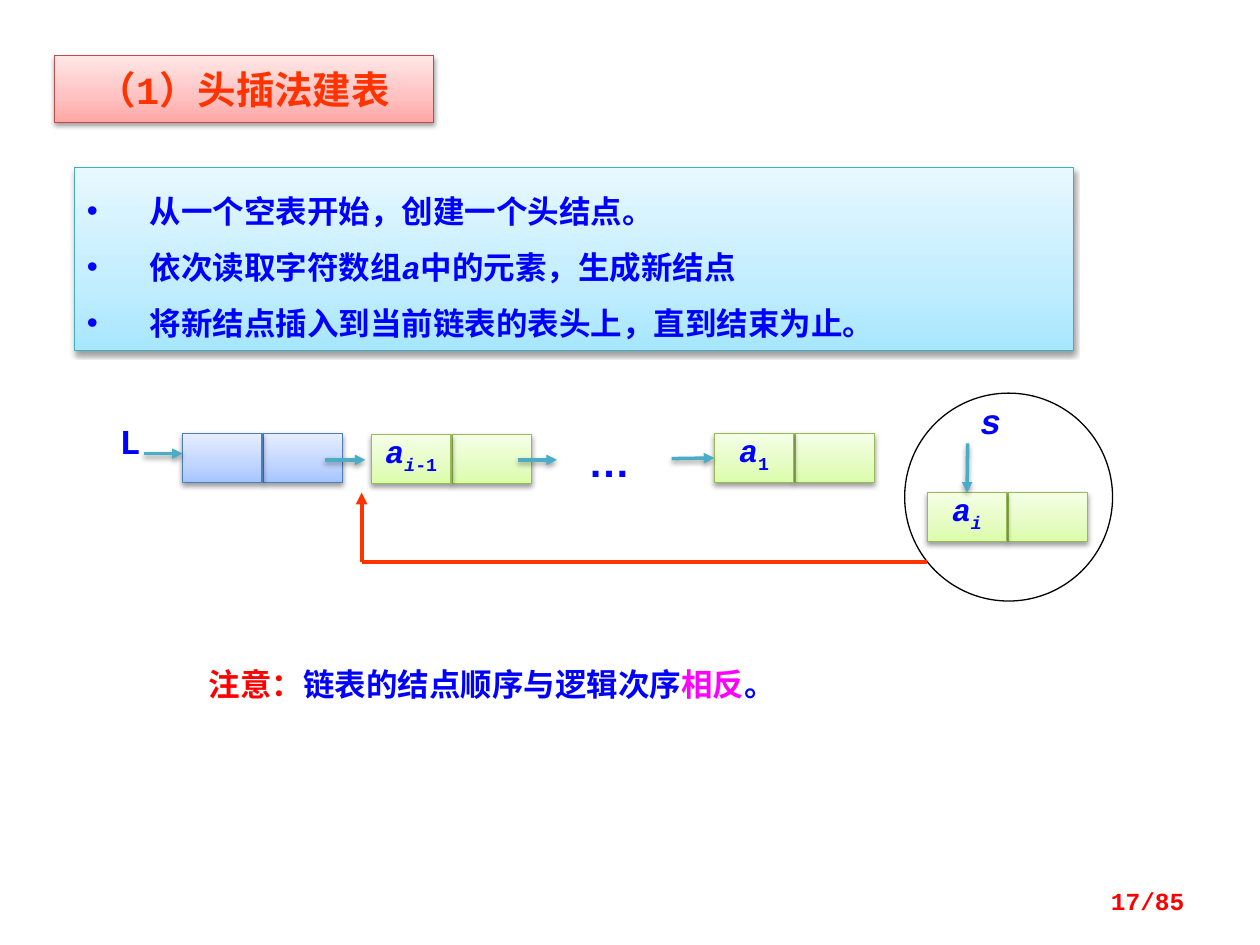
"""Build the slide on creating a linked list by head insertion."""
from copy import deepcopy

from lxml.etree import SubElement
from pptx import Presentation
from pptx.dml.color import RGBColor as Rgb
from pptx.enum.shapes import MSO_CONNECTOR as Connector, MSO_SHAPE as Shape
from pptx.enum.text import MSO_ANCHOR as Anchor, MSO_AUTO_SIZE as AutoSize, PP_ALIGN as Align
from pptx.oxml.ns import qn
from pptx.util import Pt

PX = 9144
COLORS = {
    "blue": "0000FF", "red": "FF0000", "orange": "FF3300", "magenta": "FF00FF",
    "teal": "4BACC6", "black": "000000",
}
THEMES = {
    "sky": ("46AAC5", "A7E6FF", "C1EDFF", "E7F8FF"),
    "head": ("4B7EBC", "A4C4FF", "BFD4FF", "E6EEFF"),
    "node": ("98B955", "DAFDA7", "E4FCC2", "F5FFE7"),
    "rose": ("BF4C48", "FFA6A5", "FFC0BF", "FFE7E7"),
}


def decorate(shape, theme):
    """Give a shape its gradient, outline and soft shadow."""
    outline, *shades = THEMES[theme]
    shape.fill.gradient()
    shape.fill.gradient_angle = 90
    stop_list = shape._element.spPr.find(".//" + qn("a:gsLst"))
    stop_list.append(deepcopy(stop_list[0]))
    for stop, place, shade in zip(shape.fill.gradient_stops, (0, 0.35, 1), shades):
        stop.position = place
        stop.color.rgb = Rgb.from_string(shade)
    shape.line.color.rgb = Rgb.from_string(outline)
    shape.line.width = Pt(0.75)
    shape.shadow.inherit = False
    add_shadow(shape._element.spPr.find(qn("a:effectLst")))


def add_shadow(effects):
    """Add the shared outer shadow to an effect list."""
    shadow = SubElement(effects, qn("a:outerShdw"), blurRad=str(Pt(3.1)), dist=str(Pt(1.6)),
                        dir="5400000", rotWithShape="0")
    tone = SubElement(shadow, qn("a:srgbClr"), val=COLORS["black"])
    SubElement(tone, qn("a:alpha"), val="38000")


deck = Presentation()
deck.slide_width, deck.slide_height = 1000 * PX, 750 * PX
page = deck.slides.add_slide(deck.slide_layouts[1])
shapes = page.shapes
texts = []

title, body = shapes.title, page.placeholders[1]
for holder, theme, area in (
    (title, "rose", (43, 44, 301, 53)),
    (body, "sky", (59, 133, 793, 145)),
):
    holder.left, holder.top, holder.width, holder.height = [v * PX for v in area]
    decorate(holder, theme)
    holder.text_frame.auto_size = AutoSize.NONE
title.text_frame.margin_top = title.text_frame.margin_bottom = 8 * PX
title.text_frame.paragraphs[0].alignment = Align.CENTER
texts.append((title.text_frame.paragraphs[0], 22, "Courier New",
              [("（1）头插法建表", "orange", "")]))

body.text_frame.vertical_anchor = Anchor.TOP
bullets = (
    [("从一个空表开始，创建一个头结点。", "blue", "")],
    [("依次读取字符数组", "blue", ""), ("a", "blue", "i"), ("中的元素，生成新结点", "blue", "")],
    [("将新结点插入到当前链表的表头上，直到结束为止。", "blue", "")],
)
for index, parts in enumerate(bullets):
    para = body.text_frame.add_paragraph() if index else body.text_frame.paragraphs[0]
    para.line_spacing, para.space_before = Pt(32), Pt(0)
    properties = para._p.get_or_add_pPr()
    properties.set("marL", str(50 * PX))
    properties.set("indent", str(-50 * PX))
    SubElement(properties, qn("a:buFont"), typeface="Arial")
    SubElement(properties, qn("a:buChar"), char="•")
    texts.append((para, 18, "Courier New", parts))

circle = shapes.add_shape(Shape.OVAL, 718 * PX, 312 * PX, 165 * PX, 165 * PX)
circle.fill.background()
circle.line.color.rgb = Rgb.from_string(COLORS["black"])
circle.line.width = Pt(0.75)
circle.shadow.inherit = False

data_cells = []
for left, top, theme, parts in (
    (145, 344, "head", []),
    (295, 345, "node", [("a", "blue", "i"), ("i", "blue", "is"), ("-1", "blue", "s")]),
    (567, 344, "node", [("a", "blue", "i"), ("1", "blue", "s")]),
    (736, 391, "node", [("a", "blue", "i"), ("i", "blue", "is")]),
):
    link_cell, data_cell = [
        shapes.add_shape(Shape.RECTANGLE, x * PX, top * PX, 63 * PX, 39 * PX)
        for x in (left + 64, left)
    ]
    decorate(link_cell, theme)
    decorate(data_cell, theme)
    data_cells.append(data_cell)
    if parts:
        frame = data_cell.text_frame
        frame.word_wrap, frame.vertical_anchor = False, Anchor.MIDDLE
        para = frame.paragraphs[0]
        para.alignment, para.line_spacing = Align.CENTER, Pt(18)
        texts.append((para, 18, "Courier New", parts))

for start, end, color, width, arrow, target, site in (
    ((114, 360), (145, 360), "teal", 2, True, None, 0),
    ((258, 365), (290, 365), "teal", 2, True, None, 0),
    ((411, 365), (442, 365), "teal", 2, True, None, 0),
    ((533, 364), (565, 364), "teal", 2, True, data_cells[2], 1),
    ((768, 352), (768, 391), "teal", 2, True, data_cells[3], 0),
    ((287, 446), (287, 391), "orange", 2.25, True, None, 0),
    ((287, 446), (736, 446), "orange", 2.25, False, None, 0),
):
    link = shapes.add_connector(Connector.STRAIGHT, *[v * PX for v in start + end])
    if target is not None:
        link.end_connect(target, site)
    link.line.color.rgb = Rgb.from_string(COLORS[color])
    link.line.width = Pt(width)
    if arrow:
        SubElement(link.line._get_or_add_ln(), qn("a:tailEnd"), type="triangle")
    effects = SubElement(link._element.spPr, qn("a:effectLst"))
    if color == "teal":
        add_shadow(effects)

for area, size, font_name, align, anchor, parts in (
    ((85, 328, 55, 43), 20, "Courier New", Align.LEFT, Anchor.TOP, [("L", "blue", "")]),
    ((457, 341, 55, 50), 24, "Arial", Align.LEFT, Anchor.TOP, [("…", "blue", "")]),
    ((768, 312, 63, 43), 20, "Courier New", Align.LEFT, Anchor.TOP, [("s", "blue", "i")]),
    ((156, 523, 677, 40), 18, "Courier New", Align.LEFT, Anchor.TOP,
     [("注意：", "red", ""), ("链表的结点顺序与逻辑次序", "blue", ""),
      ("相反", "magenta", ""), ("。", "blue", "")]),
    ((717, 695, 233, 40), 14, "Courier New", Align.RIGHT, Anchor.MIDDLE, [("17/85", "red", "")]),
):
    box = shapes.add_textbox(*[v * PX for v in area])
    box.text_frame.word_wrap, box.text_frame.vertical_anchor = True, anchor
    para = box.text_frame.paragraphs[0]
    para.alignment = align
    texts.append((para, size, font_name, parts))

for para, size, font_name, parts in texts:
    for words, color, marks in parts:
        span = para.add_run()
        span.text = words
        span.font.name, span.font.size = font_name, Pt(size)
        span.font.bold, span.font.italic = True, "i" in marks
        span.font.color.rgb = Rgb.from_string(COLORS[color])
        if "s" in marks:
            span._r.get_or_add_rPr().set("baseline", "-25000")

deck.save("out.pptx")
